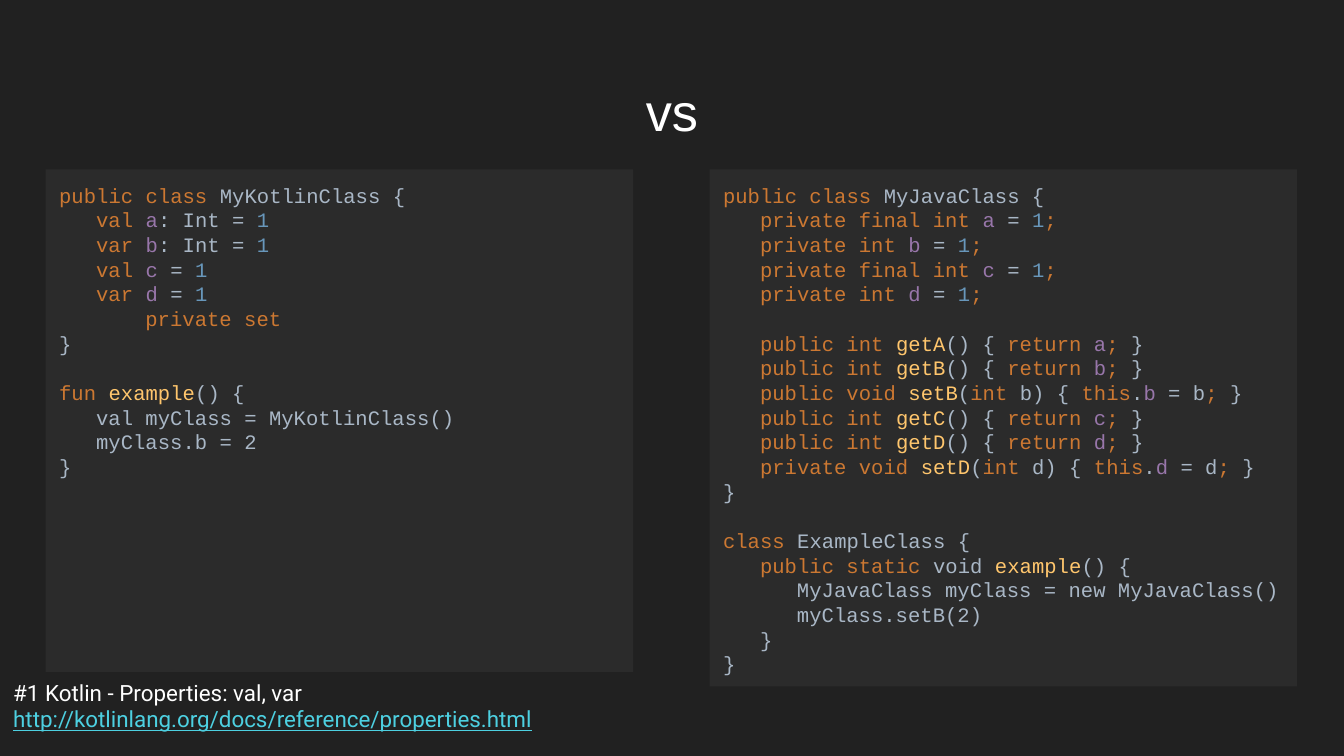
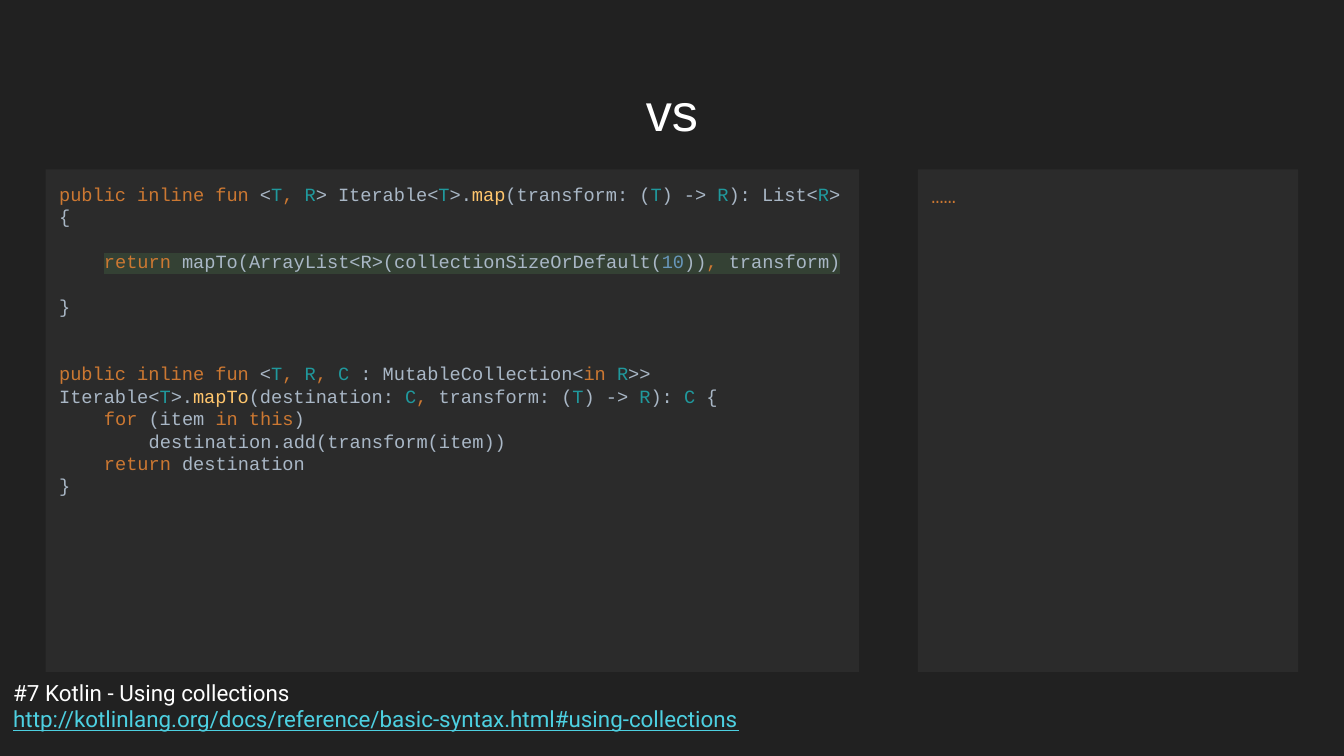
"""Build two dark slides that set code panels side by side."""
import pptx
import pptx.dml.color
import pptx.enum.text
import pptx.oxml
import pptx.oxml.ns
import pptx.util

RGB = pptx.dml.color.RGBColor
Pt = pptx.util.Pt
DARK = RGB(0x21, 0x21, 0x21)
PANEL = RGB(0x2B, 0x2B, 0x2B)
GREEN = RGB(0x34, 0x41, 0x34)
WHITE = RGB(0xFF, 0xFF, 0xFF)
CYAN = RGB(0x4D, 0xD0, 0xE1)
TONES = {
    "k": RGB(0xCC, 0x78, 0x32),
    "w": RGB(0xA9, 0xB7, 0xC6),
    "p": RGB(0x98, 0x76, 0xAA),
    "n": RGB(0x68, 0x97, 0xBB),
    "f": RGB(0xFF, 0xC6, 0x6D),
    "t": RGB(0x20, 0x99, 0x9D),
}
SPACE = pptx.oxml.ns.nsdecls("a")

KOTLIN = """\
kpublic class |wMyKotlinClass {
   kval |pa|w: Int = |n1
   kvar |pb|w: Int = |n1
   kval |pc |w= |n1
   kvar |pd |w= |n1
       kprivate set
w}

kfun |fexample|w() {
   wval myClass = MyKotlinClass()
   wmyClass.b = 2
w}"""

JAVA = """\
kpublic class |wMyJavaClass {
   kprivate final int |pa |w= |n1|k;
   kprivate int |pb |w= |n1|k;
   kprivate final int |pc |w= |n1|k;
   kprivate int |pd |w= |n1|k;

   kpublic int |fgetA|w() { |kreturn |pa|k; |w}
   kpublic int |fgetB|w() { |kreturn |pb|k; |w}
   kpublic void |fsetB|w(|kint |wb) { |kthis|w.|pb |w= b|k; |w}
   kpublic int |fgetC|w() { |kreturn |pc|k; |w}
   kpublic int |fgetD|w() { |kreturn |pd|k; |w}
   kprivate void |fsetD|w(|kint |wd) { |kthis|w.|pd |w= d|k; |w}
w}

kclass|w ExampleClass {
   kpublic static|w void |fexample|w() {
      wMyJavaClass myClass = new MyJavaClass()
      wmyClass.setB(2)
   w}
w}"""

MAP = """\
kpublic inline fun |w<|tT|k, |tR|w> Iterable<|tT|w>.|fmap|w(transform: (|tT|w) -> |tR|w): List<|tR|w> {

    +kreturn |wmapTo(ArrayList<R>(collectionSizeOrDefault(|n10|w))|k, |wtransform)

w}


kpublic inline fun |w<|tT|k, |tR|k, |tC |w: MutableCollection<|kin |tR|w>> Iterable<|tT|w>.\
|fmapTo|w(destination: |tC|k, |wtransform: (|tT|w) -> |tR|w): |tC |w{
    kfor |w(item |kin this|w)
        wdestination.add(transform(item))
    kreturn |wdestination
w}"""

SLIDES = [
    ("#1 Kotlin - Properties: val, var",
     "http://kotlinlang.org/docs/reference/properties.html",
     [(3.4, 43.7, 66.5, 11, KOTLIN), (52.8, 43.7, 68.4, 11, JAVA)]),
    ("#7 Kotlin - Using collections",
     "http://kotlinlang.org/docs/reference/basic-syntax.html#using-collections",
     [(3.4, 60.5, 66.5, 10, MAP), (68.3, 28.3, 66.5, 11, "k……")]),
]

deck = pptx.Presentation()
deck.slide_width = pptx.util.Inches(10)
deck.slide_height = pptx.util.Inches(5.625)
COL = deck.slide_width / 100
ROW = deck.slide_height / 100
back = deck.slide_master.background.fill
back.solid()
back.fore_color.rgb = DARK


def place(box, left, top, wide, high):
    """Put a box on the grid and return its text frame."""
    box.left, box.width = int(left * COL), int(wide * COL)
    box.top, box.height = int(top * ROW), int(high * ROW)
    frame = box.text_frame
    frame.word_wrap = True
    frame.auto_size = pptx.enum.text.MSO_AUTO_SIZE.NONE
    frame.vertical_anchor = pptx.enum.text.MSO_ANCHOR.TOP
    frame.margin_left = frame.margin_right = pptx.util.Inches(0.1)
    frame.margin_top = frame.margin_bottom = pptx.util.Inches(0.1)
    return frame


def write(frame, code, size):
    """Write marked code, with indents and gaps as paragraph settings."""
    gap, para = 0, None
    for line in code.split("\n"):
        if not line:
            gap += 1
            continue
        para = frame.add_paragraph() if para else frame.paragraphs[0]
        para.space_before = Pt(gap * size * 1.2)
        para.line_spacing = 1.0
        gap = 0
        body = line.lstrip(" ")
        props = para._p.get_or_add_pPr()
        props.set("marL", str(Pt((len(line) - len(body)) * size * 0.6)))
        props.set("indent", "0")
        props.append(pptx.oxml.parse_xml("<a:buNone %s/>" % SPACE))
        shade = GREEN if body.startswith("+") else PANEL
        for part in body.lstrip("+").split("|"):
            run = para.add_run()
            run.text = part[1:]
            run.font.size = Pt(size)
            run.font.color.rgb = TONES[part[0]]
            run.font._element.append(pptx.oxml.parse_xml(
                '<a:highlight %s><a:srgbClr val="%s"/></a:highlight>'
                % (SPACE, shade)))
            run.font.name = "Courier New"


for topic, link, panels in SLIDES:
    slide = deck.slides.add_slide(deck.slide_layouts[3])
    head, *bodies = slide.placeholders
    for body, (left, wide, high, size, code) in zip(bodies, panels):
        frame = place(body, left, 22.4, wide, high)
        body.fill.solid()
        body.fill.fore_color.rgb = PANEL
        write(frame, code, size)

    note = place(slide.shapes.add_textbox(0, 0, 0, 0), 0, 88, 100, 12)
    note.text = topic + "\n" + link
    for para, tone in zip(note.paragraphs, (WHITE, CYAN)):
        font = para.runs[0].font
        font.size = Pt(12)
        font.name = "Roboto"
        font.color.rgb = tone
        font.underline = True if tone == CYAN else None

    title = place(head, 3.4, 8.7, 93.2, 11.2)
    title.text = "vs"
    title.paragraphs[0].alignment = pptx.enum.text.PP_ALIGN.CENTER
    font = title.paragraphs[0].runs[0].font
    font.size = Pt(28)
    font.name = "Arial"
    font.color.rgb = WHITE

deck.save("out.pptx")
